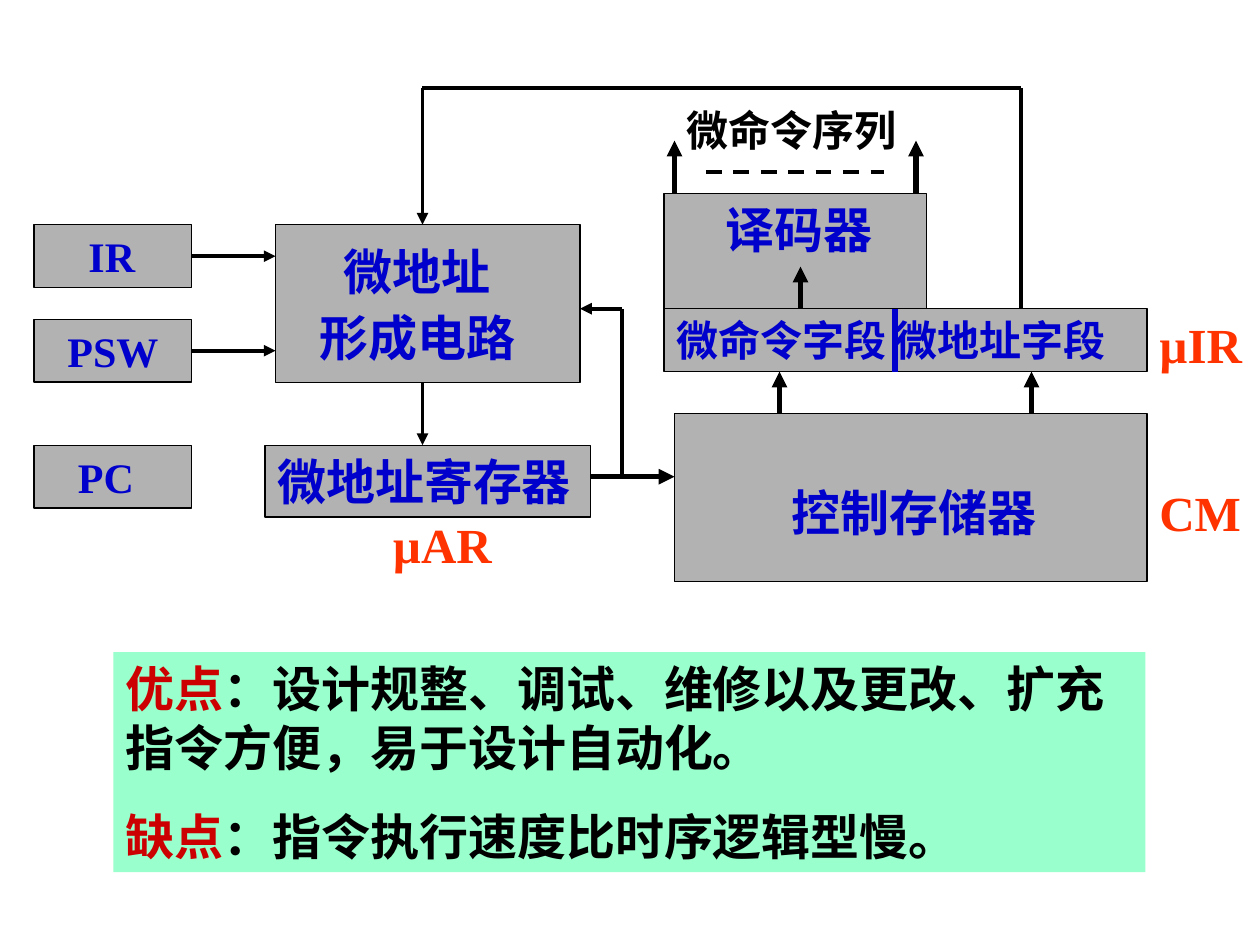
from dataclasses import dataclass

from lxml import etree
from pptx import Presentation
from pptx.dml.color import RGBColor
from pptx.enum.dml import MSO_LINE
from pptx.enum.shapes import MSO_CONNECTOR, MSO_SHAPE
from pptx.enum.text import MSO_ANCHOR, MSO_AUTO_SIZE, PP_ALIGN
from pptx.oxml.ns import qn
from pptx.util import Emu, Inches, Pt

RECTANGLE = MSO_SHAPE.RECTANGLE
STRAIGHT = MSO_CONNECTOR.STRAIGHT
DASH = MSO_LINE.DASH
TOP = MSO_ANCHOR.TOP
LEFT = PP_ALIGN.LEFT
GROW = MSO_AUTO_SIZE.SHAPE_TO_FIT_TEXT
RIGHT_SIDE, LEFT_SIDE = 3, 1


@dataclass(frozen=True)
class Theme:
    block: str = "B2B2B2"
    panel: str = "99FFCC"
    ink: str = "000000"
    blue: str = "0000CC"
    orange: str = "FF3300"
    red: str = "CC0000"
    large: int = 28
    small: int = 24
    border: float = 0.75
    thin: float = 2.25
    thick: float = 3
    serif: str = "Times New Roman"
    sans: str = "Arial"
    chinese: str = "Noto Sans CJK SC"


THEME = Theme()
SLIDE_WIDTH, SLIDE_HEIGHT = Inches(10), Inches(7.5)
CELL = Inches(1) / 12
ORIGIN_X, ORIGIN_Y = Inches(0.27), Inches(0.7)
SPACE_BEFORE = 0.625

# name: (column, row, columns, rows), text, size, indent in columns
BLOCKS = {
    "former": ((23, 13, 29, 15), "", THEME.large, 0),
    "IR": ((0, 13, 15, 6), "IR", THEME.small, 4),
    "PSW": ((0, 22, 15, 6), "PSW", THEME.small, 2),
    "PC": ((0, 34, 15, 6), "PC", THEME.small, 3),
    "address register": ((22, 34, 31, 6.85), "微地址寄存器", THEME.large, 0),
    "control memory": ((61, 31, 45, 16), "", THEME.large, 0),
    "decoder": ((60, 10, 25, 12.5), "译码器", THEME.large, 4.67),
    "instruction register": ((60, 21, 46, 6), "微命令字段 微地址字段", THEME.small, 0),
}
# (column, row, columns, rows), [(text, indent)], size, colour, line spacing
LABELS = [
    ((26, 16, 27, 11), [("微地址", 2.33), ("形成电路", 0)], THEME.large, THEME.blue, 0.6),
    ((32, 40, 16, 6.85), [("µAR", 1)], THEME.large, THEME.orange, None),
    ((71, 37, 28, 6.85), [("控制存储器", 0)], THEME.large, THEME.blue, None),
    ((106, 37, 13, 6.85), [("CM", 0)], THEME.large, THEME.orange, None),
    ((61, 1, 25, 6), [("微命令序列", 0)], THEME.small, THEME.ink, None),
    ((106, 21, 13, 6.85), [("µIR", 0)], THEME.large, THEME.orange, None),
]
# start, end in grid cells
THICK_ARROWS = [
    ((71, 31), (71, 27)), ((95, 31), (95, 27)), ((73, 21), (73, 17)),
    ((61, 10), (61, 5)), ((84, 10), (84, 5)), ((53, 37), (61, 37)),
]
THIN_ARROWS = [((56, 21), (52, 21)), ((37, 28), (37, 34)), ((37, 0), (37, 13))]
INPUT_ARROWS = [("IR", (15, 16), (23, 16)), ("PSW", (15, 25), (23, 25))]
THIN_LINES = [((56, 37), (56, 21)), ((37, 0), (94, 0)), ((94, 0), (94, 21))]
FIELD_DIVIDER = ((82, 21), (82, 27))
COMMAND_DASHES = ((64, 8), (81, 8))

SUMMARY_SHARES = (0.09, 0.69, 0.819, 0.233)
SUMMARY = [
    ("优点", "：设计规整、调试、维修以及更改、扩充指令方便，易于设计自动化。"),
    ("缺点", "：指令执行速度比时序逻辑型慢。"),
]


def color(code):
    return RGBColor.from_string(code)


def grid_point(column, row):
    return Emu(int(ORIGIN_X + column * CELL)), Emu(int(ORIGIN_Y + row * CELL))


def grid_box(column, row, columns, rows):
    return *grid_point(column, row), Emu(int(columns * CELL)), Emu(int(rows * CELL))


def add_rectangle(shapes, place, fill, border=None):
    box = shapes.add_shape(RECTANGLE, *place)
    box.shadow.inherit = False
    box.fill.solid()
    box.fill.fore_color.rgb = color(fill)
    if border:
        box.line.color.rgb = color(border)
        box.line.width = Pt(THEME.border)
    else:
        box.line.fill.background()
    return box


def write(box, paragraphs, size, font, spacing=None):
    frame = box.text_frame
    frame.word_wrap = True
    frame.auto_size = GROW
    frame.vertical_anchor = TOP
    for index, (indent, spans) in enumerate(paragraphs):
        para = frame.add_paragraph() if index else frame.paragraphs[0]
        para.alignment = LEFT
        para.space_before = Pt(size * SPACE_BEFORE)
        if spacing:
            para.line_spacing = spacing
        if indent:
            properties = para._p.get_or_add_pPr()
            properties.set("marL", str(int(indent * CELL)))
            properties.set("indent", "0")
        for text, ink in spans:
            span = para.add_run()
            span.text = text
            span.font.size = Pt(size)
            span.font.bold = True
            span.font.name = font
            span.font.color.rgb = color(ink)
            east_asian = etree.SubElement(span.font._element, qn("a:ea"))
            east_asian.set("typeface", THEME.chinese)


def add_line(shapes, start, end, width, ink=THEME.ink, arrow=False):
    line = shapes.add_connector(STRAIGHT, *grid_point(*start), *grid_point(*end))
    line.line.color.rgb = color(ink)
    line.line.width = Pt(width)
    if arrow:
        etree.SubElement(line.line._get_or_add_ln(), qn("a:tailEnd"), type="triangle")
    etree.SubElement(line._element.spPr, qn("a:effectLst"))
    return line


def draw_diagram(shapes):
    blocks = {}
    for name, (place, text, size, indent) in BLOCKS.items():
        box = blocks[name] = add_rectangle(shapes, grid_box(*place), THEME.block, THEME.ink)
        if text:
            write(box, [(indent, [(text, THEME.blue)])], size, THEME.serif)
    for place, lines, size, ink, spacing in LABELS:
        box = shapes.add_textbox(*grid_box(*place))
        paragraphs = [(indent, [(text, ink)]) for text, indent in lines]
        write(box, paragraphs, size, THEME.serif, spacing)

    add_line(shapes, *FIELD_DIVIDER, THEME.thick, THEME.blue)
    add_line(shapes, *COMMAND_DASHES, THEME.thin).line.dash_style = DASH
    for ends in THIN_LINES:
        add_line(shapes, *ends, THEME.thin)
    for width, arrows in ((THEME.thick, THICK_ARROWS), (THEME.thin, THIN_ARROWS)):
        for ends in arrows:
            add_line(shapes, *ends, width, arrow=True)
    for name, start, end in INPUT_ARROWS:
        arrow = add_line(shapes, start, end, THEME.thin, arrow=True)
        arrow.begin_connect(blocks[name], RIGHT_SIDE)


def draw_summary(shapes):
    extents = (SLIDE_WIDTH, SLIDE_HEIGHT) * 2
    place = [Emu(int(share * extent)) for share, extent in zip(SUMMARY_SHARES, extents)]
    box = add_rectangle(shapes, place, THEME.panel)
    paragraphs = [(0, [(head, THEME.red), (body, THEME.ink)]) for head, body in SUMMARY]
    write(box, paragraphs, THEME.large, THEME.sans)


def main():
    deck = Presentation()
    deck.slide_width, deck.slide_height = SLIDE_WIDTH, SLIDE_HEIGHT
    page = deck.slides.add_slide(deck.slide_layouts[6])
    draw_diagram(page.shapes.add_group_shape().shapes)
    draw_summary(page.shapes)
    deck.save("out.pptx")


if __name__ == "__main__":
    main()
